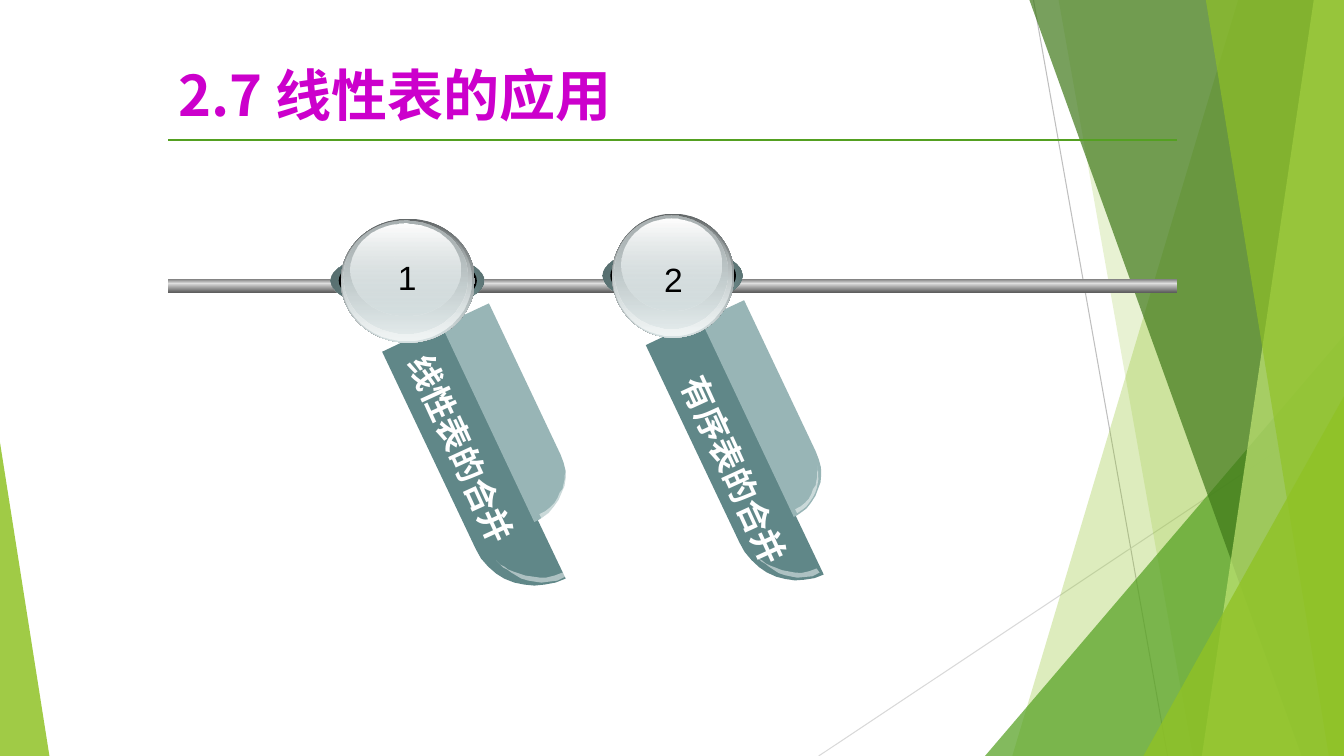
from math import cos, radians, sin
from lxml.etree import SubElement
from pptx import Presentation
from pptx.dml.color import RGBColor
from pptx.enum.shapes import MSO_CONNECTOR, MSO_SHAPE
from pptx.enum.text import MSO_ANCHOR, MSO_AUTO_SIZE, PP_ALIGN
from pptx.oxml.ns import qn
from pptx.util import Inches, Pt

WIDE, HIGH = 13.33, 7.5
CJK = "Noto Sans CJK SC"
TITLE = "2.7 线性表的应用"
LEFT, SPAN = 1.67, 10

# Colours are "RRGGBB" or "RRGGBB opacity-percent".
RAYS = [((10.25, 0), (11.58, HIGH), "BFBFBF"), ((WIDE, 4.03), (8.12, HIGH), "D9D9D9")]
# Each band runs to the right edge: top x, bottom x, colour.
BACK = [(12.28, 10.04, "90C226 30"), (10.5, 11.83, "90C226 20")]
FRONT = [(10.21, 12.91, "3F7819 70"), (13.03, 11.92, "C0E474 70"), (11.96, 13.18, "90C226 65")]
# Corner triangles: left, top, width, apex share, colour.
DEEP = (9.77, 3.33, 3.56, 1, "54A021 72")
CORNERS = [(11.34, 3.93, 1.99, 1, "90C226 80"), (0, 4.39, 0.49, 0, "90C226 85")]
RAIL = [(2.77, 0.05, ["808080", "ECECEC"]), (2.82, 0.08, ["CFCFCF", "5F5F5F"])]

# Leaf parts: colour, step to the second badge, outline on the first badge.
LEAF = [
    ("608788", (2.56, -0.04), [
        (5.56, 5.76), (5.51, 5.78), (5.4, 5.8), (5.3, 5.81), (5.2, 5.8), (5.1, 5.78),
        (5, 5.74), (4.92, 5.69), (4.84, 5.62), (4.77, 5.54), (4.72, 5.45), (3.79, 3.49),
        (4.4, 3.2), (5.61, 5.74)]),
    ("FFFFFF 49", (2.52, -0.04), [
        (5.61, 5.72), (5.53, 5.76), (5.45, 5.77), (5.37, 5.78), (5.3, 5.77), (5.24, 5.76),
        (5.17, 5.74), (5.12, 5.71), (5.07, 5.68), (5.03, 5.65), (4.99, 5.63), (4.96, 5.6),
        (4.92, 5.56), (4.96, 5.6), (5, 5.62), (5.04, 5.65), (5.09, 5.67), (5.15, 5.69),
        (5.21, 5.71), (5.28, 5.72), (5.35, 5.73), (5.42, 5.73), (5.5, 5.71), (5.58, 5.68)]),
    ("98B5B6", (2.57, -0.05), [
        (5.34, 5.16), (5.37, 5.14), (5.44, 5.09), (5.49, 5.03), (5.54, 4.96), (5.57, 4.89),
        (5.6, 4.82), (5.61, 4.74), (5.61, 4.67), (5.59, 4.59), (5.56, 4.51), (4.85, 3.01),
        (4.38, 3.23), (5.3, 5.18)]),
    ("FFFFFF 49", (2.54, -0.05), [
        (5.37, 5.14), (5.43, 5.1), (5.47, 5.07), (5.51, 5.02), (5.54, 4.98), (5.57, 4.93),
        (5.59, 4.88), (5.6, 4.84), (5.61, 4.79), (5.61, 4.65), (5.61, 4.69), (5.6, 4.72),
        (5.6, 4.76), (5.59, 4.8), (5.58, 4.85), (5.55, 4.89), (5.53, 4.94), (5.5, 4.99),
        (5.46, 5.03), (5.41, 5.07), (5.35, 5.1)]),
]
# Ball layers: offset x, offset y, width, height, colours, angle.
BALL = [
    (0.11, 0, 0.28, 0.57, ["FFFFFF", "83A6A7", "FFFFFF"], 45),
    (0.11, 0, 0.28, 0.57, ["83A6A7 32", "000000 90"], 45),
    (0, 0, 1.52, 0.57, ["475A5A", "83A6A7", "475A5A"], 315),
    (0, 0, 1.52, 0.57, ["53696A", "83A6A7 0"], 45),
    (0.08, 0, 1.37, 0.57, ["000000"], 0),
    (0.1, -0.33, 1.33, 1.23, ["636869", "D6E1E2"], 90),
    (0.11, -0.32, 1.29, 1.2, ["D6E1E2 0", "F1F5F5"], 90),
    (0.13, -0.31, 1.23, 1.12, ["AAB2B3", "D6E1E2 48"], 90),
    (0.2, -0.28, 1.09, 0.91, ["FFFFFF", "D6E1E2 38"], 90),
]
# Badges: ball left, ball top, breadth, label, label box, digit, digit box.
BADGES = [
    (3.28, 2.5, 1, "线性表的合并", (3.48, 4.21, 2.21, 0.5), "1", (3.75, 2.5, 0.58, 0.5)),
    (5.98, 2.45, 0.91, "有序表的合并", (6.1, 4.55, 2.5, 0.5), "2", (6.39, 2.52, 0.58, 0.5)),
]
TILT, TURN, PIVOT = radians(64.6), 65.4, (4.4, 3.2)

deck = Presentation()
deck.slide_width, deck.slide_height = Inches(WIDE), Inches(HIGH)
slide = deck.slides.add_slide(deck.slide_layouts[5])
shapes = slide.shapes


def tone(node, color):
    """Put a colour and its opacity into a fill or gradient stop."""
    name, share = f"{color} 100".split()[:2]
    for old in list(node):
        node.remove(old)
    part = SubElement(node, qn("a:srgbClr"), val=name)
    if share != "100":
        SubElement(part, qn("a:alpha"), val=str(int(share) * 1000))


def paint(shape, colors, angle=90):
    """Fill with one colour, or with an even gradient of several."""
    shape.shadow.inherit = False
    shape.line.fill.background()
    props = shape._element.spPr
    if len(colors) == 1:
        shape.fill.solid()
        tone(props.find(qn("a:solidFill")), colors[0])
        return
    shape.fill.gradient()
    shape.fill.gradient_angle = (360 - angle) % 360
    stops = props.find(qn("a:gradFill")).find(qn("a:gsLst"))
    for old in list(stops):
        stops.remove(old)
    for i, color in enumerate(colors):
        place = str(100000 * i // (len(colors) - 1))
        tone(SubElement(stops, qn("a:gs"), pos=place), color)


def preset(kind, box, colors, angle=90):
    shape = shapes.add_shape(kind, *map(Inches, box))
    paint(shape, colors, angle)
    return shape


def outline(points, color):
    first, *rest = [(Inches(x), Inches(y)) for x, y in points]
    pen = shapes.build_freeform(*first)
    pen.add_line_segments(rest, close=True)
    paint(pen.convert_to_shape(), [color])


def line(start, end, color, weight):
    ends = map(Inches, (*start, *end))
    link = shapes.add_connector(MSO_CONNECTOR.STRAIGHT, *ends)
    link.line.color.rgb = RGBColor.from_string(color)
    link.line.width = Pt(weight)
    SubElement(link._element.spPr, qn("a:effectLst"))


def style(frame, text, size, face, color, bold=False):
    frame.text = text
    run = frame.paragraphs[0].runs[0]
    run.font.size, run.font.bold, run.font.name = Pt(size), bold, face
    run.font.color.rgb = RGBColor.from_string(color)
    SubElement(run._r.get_or_add_rPr(), qn("a:ea"), typeface=face)


def bands(rows):
    for top, foot, color in rows:
        outline([(top, 0), (WIDE, 0), (WIDE, HIGH), (foot, HIGH)], color)


def corner(left, top, width, apex, color):
    box = (left, top, width, HIGH - top)
    preset(MSO_SHAPE.ISOSCELES_TRIANGLE, box, [color]).adjustments[0] = apex


def narrow(point, step, breadth):
    """Shrink a point across the leaf, then move it by the step."""
    dx, dy = point[0] - PIVOT[0], point[1] - PIVOT[1]
    cut = (dy * cos(TILT) - dx * sin(TILT)) * (1 - breadth)
    return point[0] + cut * sin(TILT) + step[0], point[1] - cut * cos(TILT) + step[1]


for start, end, color in RAYS:
    line(start, end, color, 0.75)
bands(BACK)
corner(*DEEP)
bands(FRONT)
for row in CORNERS:
    corner(*row)

title = shapes.title
title.left, title.top, title.width, title.height = map(Inches, (LEFT, 0.56, 8.59, 0.75))
style(title.text_frame, TITLE, 40, CJK, "CC00CC", True)
title.text_frame.auto_size = MSO_AUTO_SIZE.NONE
title.text_frame.vertical_anchor = MSO_ANCHOR.MIDDLE
title.text_frame.paragraphs[0].alignment = PP_ALIGN.LEFT
shapes._spTree.append(title._element)
line((LEFT, 1.39), (LEFT + SPAN, 1.39), "54A021", 1)
for top, depth, colors in RAIL:
    preset(MSO_SHAPE.RECTANGLE, (LEFT, top, SPAN, depth), colors)

for i, (left, top, breadth, label, spot, digit, seat) in enumerate(BADGES):
    for color, (dx, dy), points in LEAF:
        outline([narrow(p, (i * dx, i * dy), breadth) for p in points], color)
    for dx, dy, width, height, colors, angle in BALL:
        box = (left + dx * breadth, top + dy, width * breadth, height)
        preset(MSO_SHAPE.OVAL, box, colors, angle)
    tag = shapes.add_textbox(*map(Inches, spot))
    tag.rotation = TURN
    tag.text_frame.word_wrap = i > 0
    style(tag.text_frame, label, 24, CJK, "FFFFFF", True)
    mark = shapes.add_textbox(*map(Inches, seat))
    mark.text_frame.word_wrap = True
    style(mark.text_frame, digit, 24, "Arial", "000000")
    mark.text_frame.paragraphs[0].alignment = PP_ALIGN.CENTER

deck.save("out.pptx")
